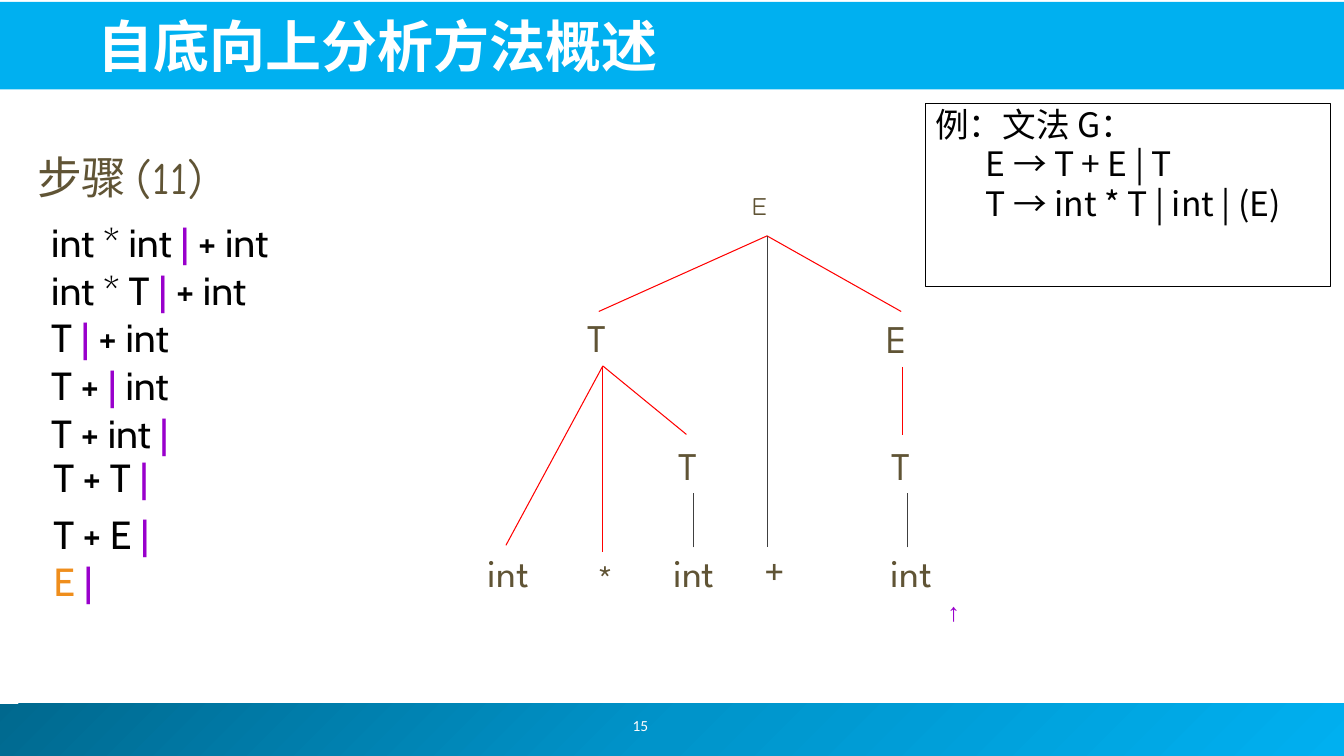
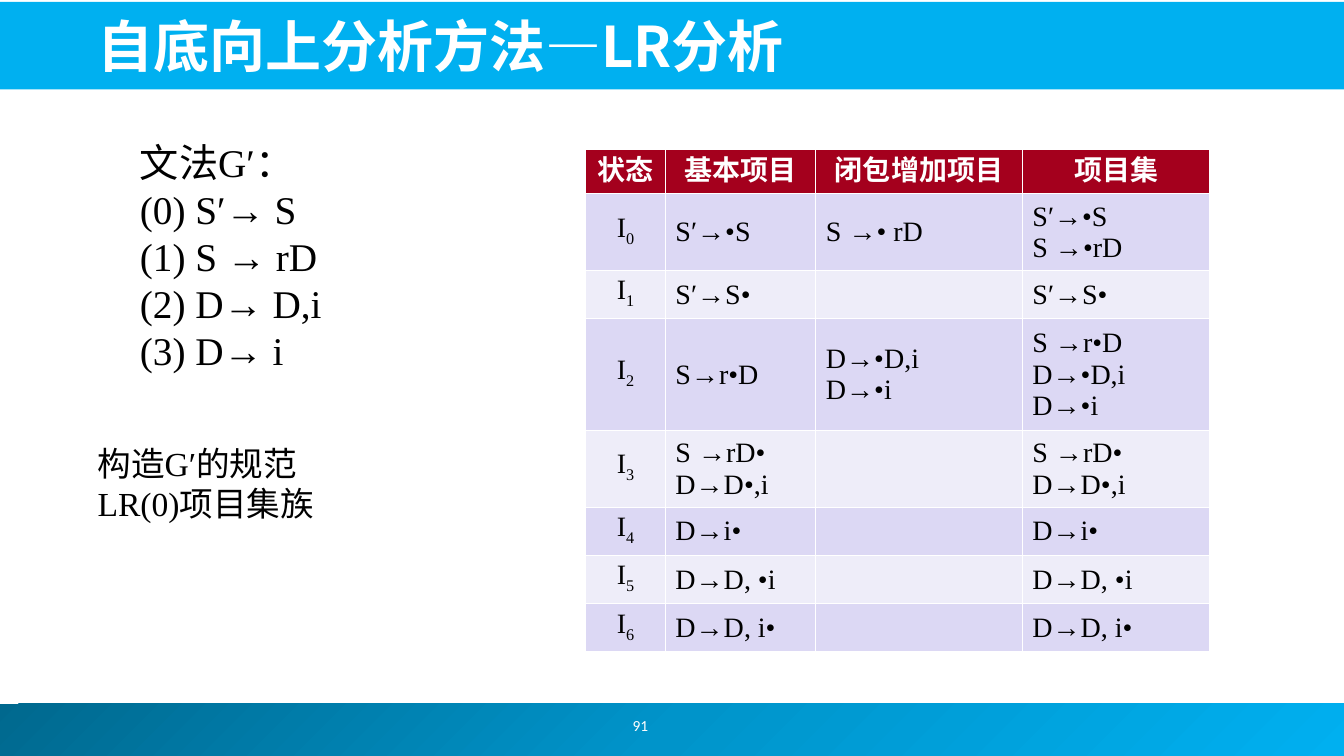
from copy import deepcopy

from pptx import Presentation
from pptx.dml.color import RGBColor
from pptx.enum.shapes import MSO_CONNECTOR, MSO_SHAPE
from pptx.enum.text import MSO_ANCHOR, PP_ALIGN
from pptx.oxml.ns import qn
from pptx.util import Pt
from lxml import etree

RECTANGLE, STRAIGHT = MSO_SHAPE.RECTANGLE, MSO_CONNECTOR.STRAIGHT
TOP, MIDDLE, BOTTOM = MSO_ANCHOR.TOP, MSO_ANCHOR.MIDDLE, MSO_ANCHOR.BOTTOM
LEFT, CENTER = PP_ALIGN.LEFT, PP_ALIGN.CENTER
rgb = RGBColor.from_string

# Shared colours and fonts
WHITE, BLACK, BLUE = "FFFFFF", "000000", "00B0F0"
OLIVE, PURPLE, ORANGE = "605435", "9900CC", "EF8E1C"
RED, GRAY = "FF0000", "404040"
HEADER_FILL, ROW_FILLS = "A4001D", ("DCD8F4", "EEEDF9")
CJK, SERIF, COMIC = "Noto Sans CJK JP", "Times New Roman", "Comic Neue"
SPARTAN, CABIN, CALIBRI = "League Spartan", "Cabin", "Calibri"


def write(frame, lines, size, font, color=BLACK, bold=False, align=LEFT,
          spacing=None, anchor=TOP):
    """Fill a frame; each line is a list of (text, colour) or plain text runs."""
    frame.word_wrap = True
    frame.vertical_anchor = anchor
    for number, line in enumerate(lines):
        para = frame.add_paragraph() if number else frame.paragraphs[0]
        para.alignment = align
        para.line_spacing = spacing
        for part in line:
            text, ink = (part, color) if isinstance(part, str) else part
            span = para.add_run()
            span.text = text
            span.font.size = Pt(size)
            span.font.bold = bold
            span.font.color.rgb = rgb(ink)
            span.font.name = font
            east_asian = etree.SubElement(span._r.get_or_add_rPr(), qn("a:ea"))
            east_asian.set("typeface", CJK)


def add_text(page, left, top, width, height, lines, size, font, **style):
    box = page.shapes.add_textbox(Pt(left), Pt(top), Pt(width), Pt(height))
    write(box.text_frame, lines, size, font, **style)


deck = Presentation()
deck.slide_width, deck.slide_height = Pt(960), Pt(540)
layout = deck.slide_layouts[5]
heading = layout.placeholders[0]
heading.left, heading.top = Pt(62.6), Pt(3.6)
heading.width, heading.height = Pt(868), Pt(57)

# Titles and page numbers
pages = []
for title, number in (("自底向上分析方法概述", "15"), ("自底向上分析方法—LR分析", "91")):
    page = deck.slides.add_slide(layout)
    write(page.shapes.title.text_frame, [[title]], 40, CJK, color=WHITE,
          bold=True, spacing=0.9, anchor=BOTTOM)
    add_text(page, 353.5, 500.4, 208, 36, [[number]], 11, CALIBRI,
             color=WHITE, align=CENTER, anchor=MIDDLE)
    pages.append(page)
overview, lr_page = pages

# Bands of the layout
bands = []
for left, top, width, height in ((-3.6, 502.6, 964, 37.4), (-1.4, 1.4, 962, 62.6)):
    band = overview.shapes.add_shape(RECTANGLE, Pt(left), Pt(top), Pt(width), Pt(height))
    band.shadow.inherit = False
    band.line.fill.background()
    bands.append(band)
footer_band, title_band = bands
title_band.fill.solid()
title_band.fill.fore_color.rgb = rgb(BLUE)
footer_band.fill.gradient()
footer_band.fill.gradient_angle = 315
stops = footer_band.element.find(".//" + qn("a:gsLst"))
stops.insert(1, deepcopy(stops[0]))
shades = ((0, "00688E"), (0.5, "0094CA"), (1, BLUE))
for stop, (position, color) in zip(footer_band.fill.gradient_stops, shades):
    stop.position = position
    stop.color.rgb = rgb(color)
for band in bands:
    layout.shapes.element.insert(2, band.element)

# Slide 1: reduction steps
add_text(overview, 19.4, 90, 159, 72, [["步骤 (11)"]], 32, COMIC,
         color=OLIVE, anchor=MIDDLE)
bar = ("|", PURPLE)
steps = (
    (29.5, 152.6, ["int * int ", bar, " + int"]),
    (29.5, 186.5, ["int * T ", bar, " + int"]),
    (29.5, 220.3, ["T ", bar, " + int"]),
    (29.5, 254.2, ["T + ", bar, " int"]),
    (29.5, 288.7, ["T + int ", bar]),
    (31, 320.4, ["T + T ", bar]),
    (31, 360.7, ["T + E ", bar]),
    (31, 394.6, [("E ", ORANGE), bar]),
)
for left, top, line in steps:
    add_text(overview, left, top, 234, 36, [line], 28, CABIN)

# Slide 1: parse tree
branches = (
    (427.7, 222.5, 547.9, 168.5, RED), (643.7, 222.5, 547.9, 168.5, RED),
    (547.9, 168.5, 547.9, 391, GRAY), (430.6, 261.4, 361.4, 389.5, RED),
    (430.6, 261.4, 490.3, 310.3, RED), (430.6, 261.4, 430.6, 394.6, RED),
    (644.4, 262.1, 644.4, 311, RED), (495.4, 391, 495.4, 352.1, GRAY),
    (648, 391, 648, 352.1, GRAY),
)
for x1, y1, x2, y2, color in branches:
    branch = overview.shapes.add_connector(STRAIGHT, Pt(x1), Pt(y1), Pt(x2), Pt(y2))
    branch.line.color.rgb = rgb(color)
    branch.line.width = Pt(0.75)
    etree.SubElement(branch.element.spPr, qn("a:effectLst"))
nodes = (
    ("T", 412.6, 220.3, 36), ("E", 626.4, 221, 36),
    ("T", 477.4, 311.8, 36), ("T", 630, 311.8, 36),
    ("int", 341.3, 388, 54), ("*", 419.8, 392.4, 36), ("int", 473.8, 388, 48),
    ("+", 539.3, 386.6, 36), ("int", 629.3, 388, 48),
)
for label, left, top, width in nodes:
    add_text(overview, left, top, width, 41, [[label]], 28, SPARTAN, color=OLIVE)
add_text(overview, 529.9, 132.5, 36, 36, [["E"]], 18, COMIC, color=OLIVE)
add_text(overview, 669.6, 422.6, 42, 36, [["↑"]], 18, SERIF, color=PURPLE)

# Slide 1: grammar box
grammar = overview.shapes.add_shape(RECTANGLE, Pt(661), Pt(74.2), Pt(289.4), Pt(130.3))
grammar.shadow.inherit = False
grammar.fill.background()
grammar.line.color.rgb = rgb(BLACK)
grammar.line.width = Pt(0.75)
write(grammar.text_frame,
      [["例：文法 G："], ["E → T + E | T"], ["T → int * T | int | (E)"]],
      24, CJK, spacing=0.9)
for para in grammar.text_frame.paragraphs[1:]:
    para._p.get_or_add_pPr().set("marL", str(Pt(36)))
    para.space_before = Pt(2)

# Slide 2: grammar and task
rules = [["文法G′："], ["(0) S′→ S"], ["(1) S → rD"], ["(2) D→ D,i"], ["(3) D→ i"]]
add_text(lr_page, 92.9, 95, 199, 177, rules, 28, SERIF, spacing=Pt(33.6))
add_text(lr_page, 62.6, 312.5, 180, 65.5, [["构造G′的规范LR(0)项目集族"]], 24, SERIF,
         spacing=Pt(28.8))

# Slide 2: item sets, each state with its kernel and closure items
headers = ("状态", "基本项目", "闭包增加项目", "项目集")
states = (
    (["S′→•S"], ["S →• rD"], ["S′→•S", "S →•rD"]),
    (["S′→S•"], [], ["S′→S•"]),
    (["S→r•D"], ["D→•D,i", "D→•i"], ["S →r•D", "D→•D,i", "D→•i"]),
    (["S →rD•", "D→D•,i"], [], ["S →rD•", "D→D•,i"]),
    (["D→i•"], [], ["D→i•"]),
    (["D→D, •i"], [], ["D→D, •i"]),
    (["D→D, i•"], [], ["D→D, i•"]),
)
widths = (57, 107.5, 147.5, 134)
heights = (31, 55, 34.5, 79.5, 55, 34.5, 34.5, 34.5)
table = lr_page.shapes.add_table(len(heights), len(widths), Pt(418.3), Pt(107),
                                 Pt(sum(widths)), Pt(sum(heights))).table
for column, width in zip(table.columns, widths):
    column.width = Pt(width)
for row, height in zip(table.rows, heights):
    row.height = Pt(height)
for index, header in enumerate(headers):
    cell = table.cell(0, index)
    cell.fill.solid()
    cell.fill.fore_color.rgb = rgb(HEADER_FILL)
    cell.vertical_anchor = MIDDLE
    write(cell.text_frame, [[header]], 20, SERIF, color=WHITE, bold=True,
          align=CENTER, spacing=Pt(24))
for state, item_sets in enumerate(states):
    contents = [[["I", str(state)]]] + [[[item] for item in items] for items in item_sets]
    for index, lines in enumerate(contents):
        cell = table.cell(state + 1, index)
        cell.fill.solid()
        cell.fill.fore_color.rgb = rgb(ROW_FILLS[state % 2])
        cell.vertical_anchor = MIDDLE
        write(cell.text_frame, lines, 20, SERIF, spacing=Pt(22.5),
              align=LEFT if index else CENTER)
    subscript = table.cell(state + 1, 0).text_frame.paragraphs[0].runs[1]
    subscript._r.get_or_add_rPr().set("baseline", "-25000")

deck.save("out.pptx")
